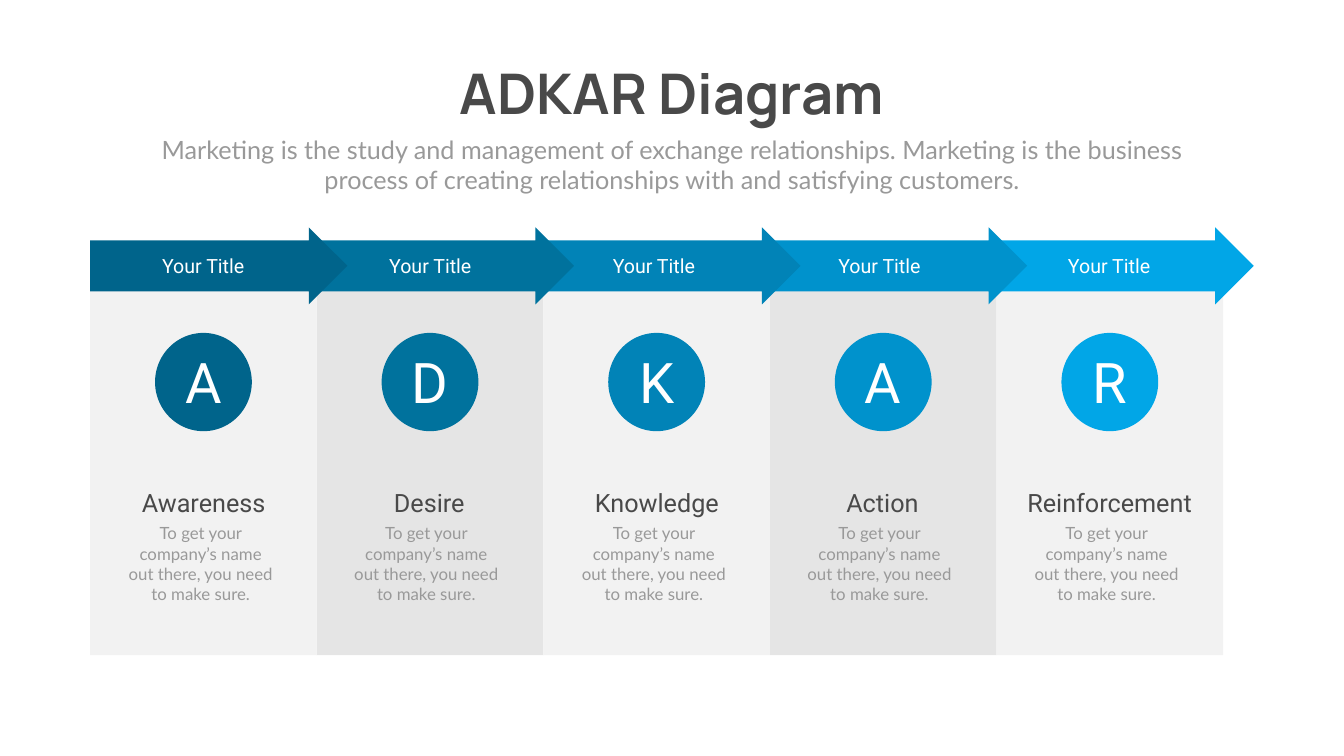
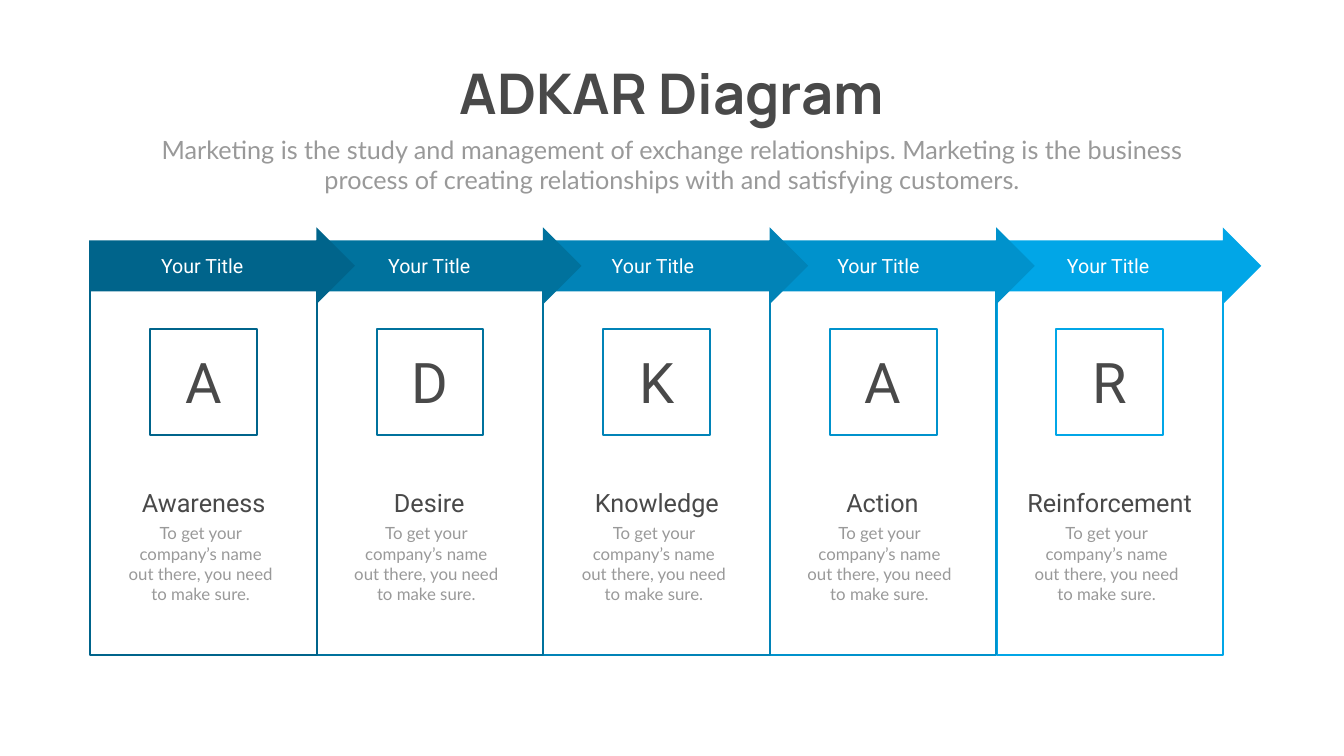
from collections import namedtuple

from lxml import etree
from pptx import Presentation
from pptx import util as u
from pptx.dml import color
from pptx.enum import shapes, text
from pptx.oxml import ns

DARK, MUTED, WHITE, GREY = "494949", "999999", "FFFFFF", "808080"
BLUES = ["00648B", "00729D", "0183B7", "0092CC", "01A6E7"]
HEADING, DISPLAY, BODY = "Roboto", "Manrope", "Lato"

# Column grid
LEFT, TOP, PITCH = 1.79, 4.9, 4.495
WIDTH, HEIGHT = 4.49, 8.1
CAPTION = "To get your company’s name out there, you need to make sure."

# Text offsets are measured from the left edge of the column
Step = namedtuple("Step", "letter name name_width label_offset caption_offset")
STEPS = [
    Step("A", "Awareness", 3.26, 0.61, 0.62),
    Step("D", "Desire", 3.26, 0.62, 0.6),
    Step("K", "Knowledge", 3.26, 0.56, 0.62),
    Step("A", "Action", 3.26, 0.54, 0.6),
    Step("R", "Reinforcement", 3.85, 0.6, 0.61),
]

# What differs between the two slides
Style = namedtuple("Style", "outlined badge badge_width badge_height "
                            "arrow_width arrow_shift letter_color")
FILLED = Style(False, shapes.MSO_SHAPE.OVAL, 1.92, 1.95, 5.1, 0, WHITE)
OUTLINED = Style(True, shapes.MSO_SHAPE.RECTANGLE, 2.12, 2.12, 5.27, -0.02, DARK)


def rgb(value):
    return color.RGBColor.from_string(value)


def inches(*lengths):
    return [u.Inches(length) for length in lengths]


def add_shape(parent, kind, box, fill=None, line=None, opacity=None):
    shape = parent.shapes.add_shape(kind, *inches(*box))
    shape.shadow.inherit = False
    if fill:
        shape.fill.solid()
        shape.fill.fore_color.rgb = rgb(fill)
    else:
        shape.fill.background()
    if opacity:
        value = shape.fill._xPr.find(".//" + ns.qn("a:srgbClr"))
        etree.SubElement(value, ns.qn("a:alpha"), val=str(opacity * 1000))
    if line:
        shape.line.color.rgb = rgb(line)
        shape.line.width = u.Pt(3)
    else:
        shape.line.fill.background()
    return shape


def add_text(parent, content, box, size, font=HEADING, fill=DARK,
             bold=False, wrap=True):
    frame = parent.shapes.add_textbox(*inches(*box)).text_frame
    frame.word_wrap = wrap
    frame.auto_size = text.MSO_AUTO_SIZE.SHAPE_TO_FIT_TEXT
    paragraph = frame.paragraphs[0]
    paragraph.alignment = text.PP_ALIGN.CENTER
    run = paragraph.add_run()
    run.text = content
    run.font.name = font
    run.font.size = u.Pt(size)
    run.font.bold = bold
    run.font.color.rgb = rgb(fill)


def add_heading(slide, left, top):
    group = slide.shapes.add_group_shape()
    add_text(group, "ADKAR Diagram", (left + 5.67, top, 9.48, 1.45), 80,
             font=DISPLAY, bold=True, wrap=False)
    add_text(group, "Marketing is the study and management of exchange "
             "relationships. Marketing is the business process of creating "
             "relationships with and satisfying customers.",
             (left, top + 1.49, 20.82, 1.31), 36, font=BODY, fill=MUTED)


def add_panel(slide, left, top, index, style):
    """Column background, header arrow and badge."""
    blue = BLUES[index]
    panel = (left, top, WIDTH, HEIGHT)
    badge = (left + (WIDTH - style.badge_width) / 2,
             top + 2.68 - style.badge_height / 2,
             style.badge_width, style.badge_height)
    ink = {"line": blue} if style.outlined else {"fill": blue}
    if style.outlined:
        add_shape(slide, shapes.MSO_SHAPE.RECTANGLE, panel, line=blue)
    else:
        add_shape(slide, shapes.MSO_SHAPE.RECTANGLE, panel, fill=GREY,
                  opacity=20 if index % 2 else 10)
    arrow = add_shape(slide, shapes.MSO_SHAPE.RIGHT_ARROW,
                      (left + style.arrow_shift, top - 0.39,
                       style.arrow_width, 1.53), fill=blue)
    arrow.adjustments[0] = 0.66
    arrow.adjustments[1] = 0.5
    add_shape(slide, style.badge, badge, **ink)


def add_step_text(slide, left, top, step, style):
    """Header label, letter, name and caption."""
    add_text(slide, "Your Title",
             (left + step.label_offset + style.arrow_shift, top + 0.08, 3.26, 0.57),
             28, fill=WHITE)
    add_text(slide, step.letter, (left + 1.52, top + 1.95, 1.45, 1.45), 80,
             fill=style.letter_color)
    group = slide.shapes.add_group_shape()
    caption_left = left + step.caption_offset
    add_text(group, CAPTION, (caption_left, top + 5.43, 3.14, 1.72), 24,
             font=BODY, fill=MUTED)
    name_left = caption_left + (3.26 - step.name_width) / 2
    add_text(group, step.name, (name_left, top + 4.72, step.name_width, 0.71), 36)


def add_diagram(slide, left, top, style):
    columns = [(left + index * PITCH, index) for index in range(len(STEPS))]
    # Right to left, so that each arrowhead lies over the next column
    for column_left, index in reversed(columns):
        add_panel(slide, column_left, top, index, style)
    for column_left, index in columns:
        add_step_text(slide, column_left, top, STEPS[index], style)


def main():
    presentation = Presentation()
    presentation.slide_width, presentation.slide_height = inches(26.66, 15)
    for style in (FILLED, OUTLINED):
        slide = presentation.slides.add_slide(presentation.slide_layouts[6])
        add_diagram(slide, LEFT, TOP, style)
        add_heading(slide, 2.92, 1.12)
    presentation.save("out.pptx")


if __name__ == "__main__":
    main()
